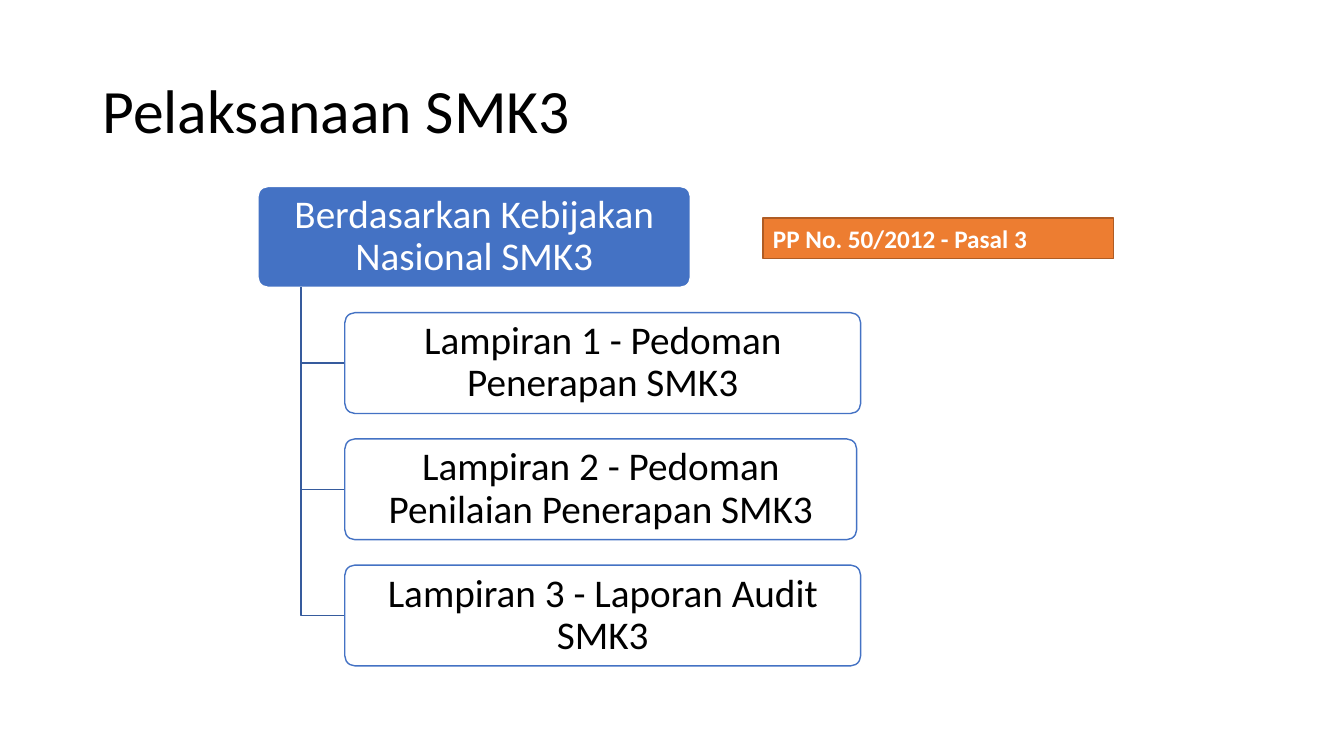
"""Build the SMK3 implementation slide with its policy tree."""
from lxml.etree import SubElement
from pptx import Presentation
from pptx.dml.color import RGBColor
from pptx.enum.shapes import MSO_SHAPE as Kind
from pptx.enum.text import MSO_ANCHOR as Anchor, PP_ALIGN as Align
from pptx.oxml.ns import qn
from pptx.util import Cm, Pt

BLACK = RGBColor(0, 0, 0)
WHITE = RGBColor(0xFF, 0xFF, 0xFF)
BLUE = RGBColor(0x44, 0x72, 0xC4)
NAVY = RGBColor(0x36, 0x5B, 0x9D)
ORANGE = RGBColor(0xED, 0x7D, 0x31)
BROWN = RGBColor(0xAF, 0x5C, 0x24)


def write(shape, text, size, color, align, bold=False):
    frame = shape.text_frame
    frame.word_wrap = True
    frame.vertical_anchor = Anchor.MIDDLE
    frame.text = text
    para = frame.paragraphs[0]
    para.alignment = align
    para.font.name = "Calibri"
    para.font.size = Pt(size)
    para.font.bold = bold
    para.font.color.rgb = color
    return para


def box(kind, left, top, width, height, fill, line):
    shape = slide.shapes.add_shape(kind, Cm(left), Cm(top), Cm(width), Cm(height))
    shape.shadow.inherit = False
    shape.fill.solid()
    shape.fill.fore_color.rgb = fill
    shape.line.color.rgb = line
    shape.line.width = Pt(1)
    return shape


deck = Presentation()
deck.slide_width, deck.slide_height = Cm(33.87), Cm(19.05)
slide = deck.slides.add_slide(deck.slide_layouts[5])

title = slide.shapes.title
title.left, title.top = Cm(2.33), Cm(1.01)
title.width, title.height = Cm(29.21), Cm(3.68)
write(title, "Pelaksanaan SMK3", 44, BLACK, Align.LEFT).line_spacing = 0.9

HIGH, STEP = 2.54, 3.18
TOP, STEM, LEFT = 4.7, 7.59, 8.69
nodes = [
    ("Berdasarkan Kebijakan Nasional SMK3", 6.5, 10.9),
    ("Lampiran 1 - Pedoman Penerapan SMK3", LEFT, 13),
    ("Lampiran 2 - Pedoman Penilaian Penerapan SMK3", LEFT, 12.9),
    ("Lampiran 3 - Laporan Audit SMK3", LEFT, 13),
]
for row, (text, left, width) in enumerate(nodes):
    top = TOP + row * STEP
    if row:
        mid = Cm(top + HIGH / 2)
        path = slide.shapes.build_freeform(Cm(STEM), Cm(TOP + HIGH))
        path.add_line_segments([(Cm(STEM), mid), (Cm(LEFT), mid)], close=False)
        elbow = path.convert_to_shape()
        elbow.shadow.inherit = False
        elbow.fill.background()
        elbow.line.color.rgb = NAVY
        elbow.line.width = Pt(1)
    fill, line, color = (WHITE, BLUE, BLACK) if row else (BLUE, WHITE, WHITE)
    node = box(Kind.ROUNDED_RECTANGLE, left, top, width, HIGH, fill, line)
    node.adjustments[0] = 0.1
    if row:
        tint = node.fill._xPr.find(qn("a:solidFill"))[0]
        SubElement(tint, qn("a:alpha"), val="90000")
    frame = node.text_frame
    frame.margin_left = frame.margin_right = Cm(0.23)
    frame.margin_top = frame.margin_bottom = Cm(0.18)
    write(node, text, 28, color, Align.CENTER).line_spacing = 0.9

rule = box(Kind.RECTANGLE, 19.23, 5.49, 8.84, 1.02, ORANGE, BROWN)
write(rule, "PP No. 50/2012 - Pasal 3", 18, WHITE, Align.LEFT, True)

deck.save("out.pptx")
